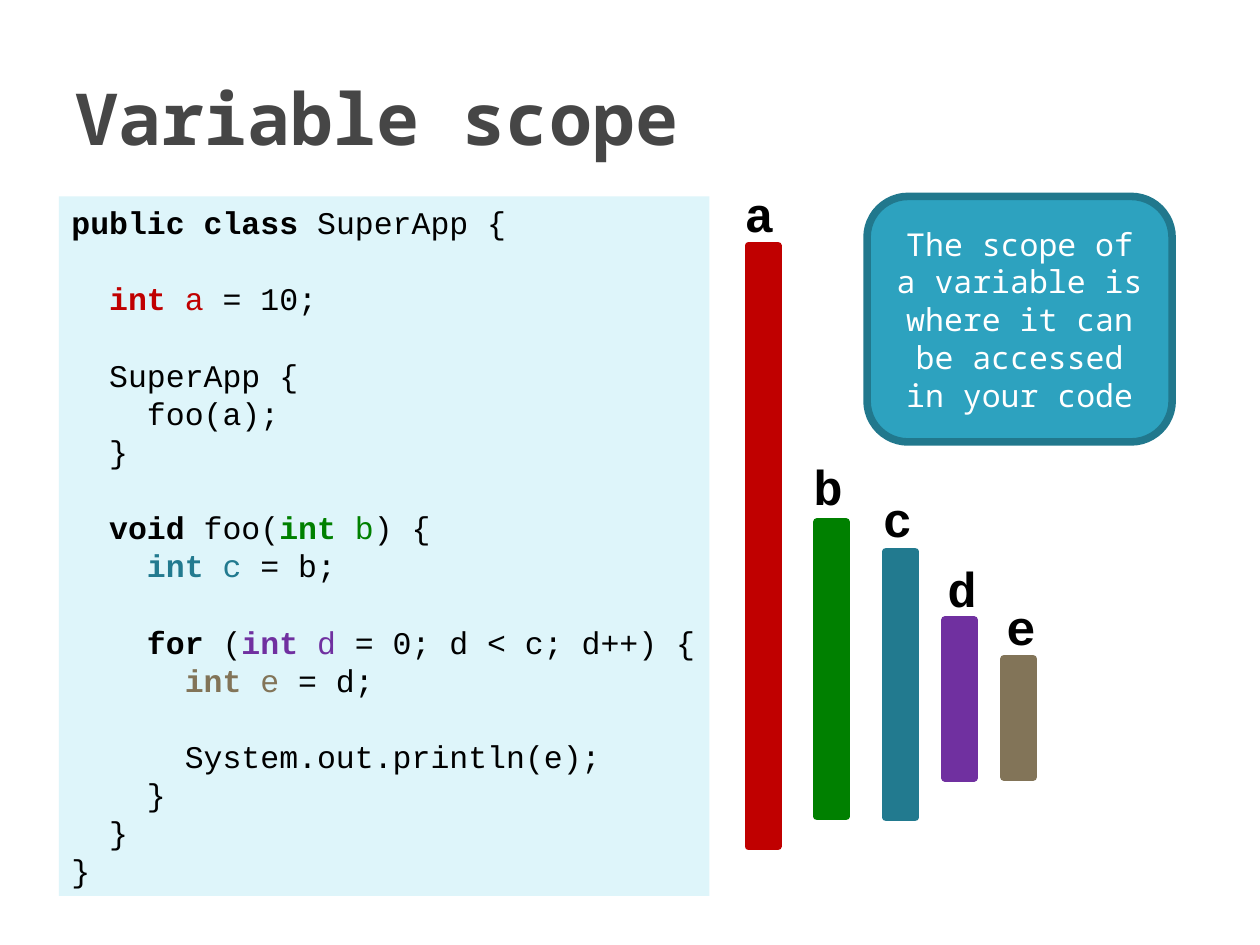
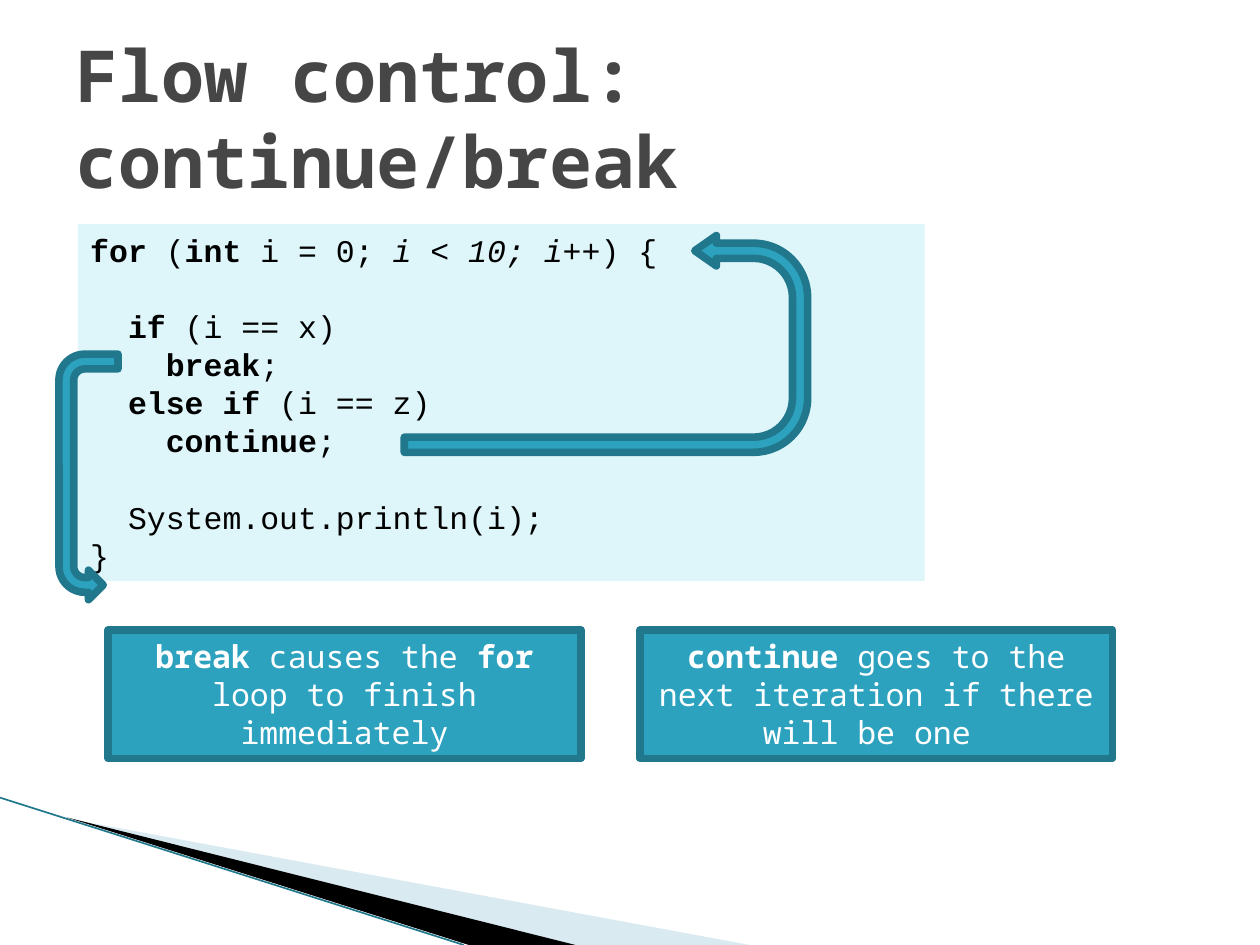
from lxml.etree import SubElement
from pptx import Presentation
from pptx.dml.color import RGBColor
from pptx.enum.shapes import MSO_CONNECTOR, MSO_SHAPE
from pptx.enum.text import MSO_ANCHOR, MSO_AUTO_SIZE, PP_ALIGN
from pptx.oxml.ns import qn
from pptx.util import Cm, Pt

# Shared style
CODE_FONT = "Courier New"
TEXT_FONT = "Noto Sans Mono"
BLACK = RGBColor(0x00, 0x00, 0x00)
WHITE = RGBColor(0xFF, 0xFF, 0xFF)
TITLE_GREY = RGBColor(0x46, 0x46, 0x46)
CODE_FILL = RGBColor(0xDE, 0xF5, 0xFA)
TEAL = RGBColor(0x2D, 0xA2, 0xBF)
DARK_TEAL = RGBColor(0x21, 0x78, 0x8D)
PALE_BLUE = RGBColor(0xA0, 0xCB, 0xDC)
RED = RGBColor(0xC0, 0x00, 0x00)
GREEN = RGBColor(0x00, 0x80, 0x00)
BLUE = RGBColor(0x22, 0x7A, 0x8F)
PURPLE = RGBColor(0x70, 0x30, 0xA0)
BROWN = RGBColor(0x82, 0x74, 0x58)
BORDER = Pt(4.33)
CODE_LINE = Pt(21.8)


def span(text, color=None, bold=False, italic=False):
    return text, color, bold, italic


def bold(text, color=None):
    return span(text, color, bold=True)


def write(para, spans, font=TEXT_FONT, size=18, color=BLACK):
    """Add spans to a paragraph; a plain string is an unformatted span."""
    for item in spans:
        text, own_color, is_bold, is_italic = span(item) if isinstance(item, str) else item
        run = para.add_run()
        run.text = text
        run.font.name = font
        run.font.size = Pt(size)
        run.font.bold = is_bold
        run.font.italic = is_italic
        run.font.color.rgb = own_color or color


def add_page(deck, title):
    page = deck.slides.add_slide(deck.slide_layouts[5])
    box = page.shapes.title
    box.left, box.top, box.width, box.height = Cm(1.27), Cm(0.76), Cm(22.86), Cm(3.18)
    frame = box.text_frame
    frame.word_wrap = True
    frame.auto_size = MSO_AUTO_SIZE.NONE
    frame.vertical_anchor = MSO_ANCHOR.MIDDLE
    para = frame.paragraphs[0]
    para.alignment = PP_ALIGN.LEFT
    write(para, [bold(title)], size=41, color=TITLE_GREY)
    return page


def add_box(page, left, top, width, height, kind=MSO_SHAPE.RECTANGLE, fill=TEAL, line=DARK_TEAL):
    box = page.shapes.add_shape(kind, Cm(left), Cm(top), Cm(width), Cm(height))
    box.shadow.inherit = False
    box.fill.solid()
    box.fill.fore_color.rgb = fill
    if line is None:
        box.line.fill.background()
    else:
        box.line.color.rgb = line
        box.line.width = BORDER
    return box


def add_code(page, left, top, width, height, lines):
    """Draw a code panel; an empty line becomes space before the next one."""
    box = add_box(page, left, top, width, height, fill=CODE_FILL, line=None)
    frame = box.text_frame
    frame.word_wrap = True
    frame.margin_right = 0
    frame.vertical_anchor = MSO_ANCHOR.TOP
    para, gap = frame.paragraphs[0], False
    for number, spans in enumerate(lines):
        if not spans:
            gap = True
            continue
        if number:
            para = frame.add_paragraph()
        para.alignment = PP_ALIGN.LEFT
        para.line_spacing = CODE_LINE
        if gap:
            para.space_before = CODE_LINE
        write(para, spans, font=CODE_FONT)
        gap = False


def add_note(page, left, top, width, height, spans, kind=MSO_SHAPE.RECTANGLE):
    box = add_box(page, left, top, width, height, kind)
    frame = box.text_frame
    frame.word_wrap = True
    frame.vertical_anchor = MSO_ANCHOR.MIDDLE
    para = frame.paragraphs[0]
    para.alignment = PP_ALIGN.CENTER
    write(para, spans, color=WHITE)


def add_label(page, left, top, text):
    box = page.shapes.add_textbox(Cm(left), Cm(top), Cm(1.12), Cm(1.45))
    box.text_frame.word_wrap = False
    write(box.text_frame.paragraphs[0], [bold(text)], font=CODE_FONT, size=28)


def add_turn_arrow(page, left, top, width, height, rotation, adjustments=()):
    """Draw a U-turn arrow lying on its side within the visible frame."""
    shift = (width - height) / 2
    arrow = add_box(page, left + shift, top - shift, height, width, MSO_SHAPE.U_TURN_ARROW)
    arrow.rotation = rotation
    arrow.element.spPr.find(qn("a:xfrm")).set("flipV", "1")
    for index, value in enumerate(adjustments):
        arrow.adjustments[index] = value


def add_wedge(page, points, color, opacity=None):
    start, *rest = [(Cm(x), Cm(y)) for x, y in points]
    builder = page.shapes.build_freeform(*start)
    builder.add_line_segments(rest, close=True)
    wedge = builder.convert_to_shape()
    wedge.shadow.inherit = False
    wedge.line.fill.background()
    wedge.fill.solid()
    wedge.fill.fore_color.rgb = color
    if opacity:
        tone = wedge.element.spPr.find(qn("a:solidFill"))[0]
        SubElement(tone, qn("a:alpha")).set("val", str(opacity * 1000))


def add_corner_sweep(page):
    add_wedge(page, [(1.4, 16.51), (15.11, 19.05), (11.58, 19.05)], PALE_BLUE, opacity=40)
    add_wedge(page, [(1.35, 16.48), (11.6, 19.05), (9.45, 19.05)], BLACK)
    edge = page.shapes.add_connector(MSO_CONNECTOR.STRAIGHT, 0, Cm(16.08), Cm(9.35), Cm(19.05))
    edge.line.color.rgb = DARK_TEAL
    edge.line.width = Pt(0.95)
    SubElement(edge.element.spPr, qn("a:effectLst"))


def build_scope_page(deck):
    page = add_page(deck, "Variable scope")
    add_code(page, 1.19, 3.96, 13.11, 14.1, [
        [bold("public class "), "SuperApp {"],
        [],
        ["  ", bold("int", RED), span(" a ", RED), "= 10;"],
        [],
        ["  SuperApp {"],
        ["    foo(a);"],
        ["  }"],
        [],
        ["  ", bold("void "), "foo(", bold("int", GREEN), span(" b", GREEN), ") {"],
        ["    ", bold("int", BLUE), span(" c", BLUE), " = b;"],
        [],
        ["    ", bold("for"), " (", bold("int", PURPLE), span(" d", PURPLE),
         " = 0; d < c; d++) {"],
        ["      ", bold("int", BROWN), span(" e", BROWN), " = d;"],
        [],
        ["      System.out.println(e);"],
        ["    }"],
        ["  }"],
        ["}"],
    ])

    # One bar per variable: name, colour, left, top, height, label left, label top
    scopes = [
        ("a", RED, 15.09, 4.95, 12.12, 14.76, 3.58),
        ("b", GREEN, 16.47, 10.52, 5.94, 16.15, 9.07),
        ("c", BLUE, 17.86, 11.12, 5.36, 17.55, 9.73),
        ("d", PURPLE, 19.05, 12.5, 3.18, 18.85, 11.13),
        ("e", BROWN, 20.24, 13.28, 2.39, 20.04, 11.91),
    ]
    for name, color, left, top, height, label_left, label_top in scopes:
        add_box(page, left, top, 0.59, height, fill=color, line=color)
        add_label(page, label_left, label_top, name)

    add_note(page, 17.48, 3.96, 6.15, 4.95,
             ["The scope of a variable is where it can be accessed in your code"],
             kind=MSO_SHAPE.ROUNDED_RECTANGLE)


def build_flow_page(deck):
    page = add_page(deck, "Flow control: continue/break")
    add_corner_sweep(page)
    add_code(page, 1.57, 4.52, 17.07, 7.19, [
        [bold("for "), "(", bold("int "), "i = 0; ", span("i < 10; i++", italic=True), ") {"],
        [],
        ["  ", bold("if"), " (i == x)"],
        ["    ", bold("break"), ";"],
        ["  ", bold("else if "), "(i == z)"],
        ["    ", bold("continue"), ";"],
        [],
        ["  System.out.println(i);"],
        ["}"],
    ])

    # Explanations
    notes = [
        (2.18, [bold("break "), "causes the ", bold("for"), " loop to finish immediately"]),
        (12.9, [bold("continue "), "goes to the next iteration if there will be one "]),
    ]
    for left, spans in notes:
        add_note(page, left, 12.7, 9.53, 2.59, spans)

    # Jumps made by break and continue
    add_turn_arrow(page, 1.19, 7.14, 1.19, 4.95, rotation=90)
    add_turn_arrow(page, 8.15, 4.75, 8.13, 4.37, rotation=270,
                   adjustments=(0.07, 0.07, 0.1, 0.25, 0.28))


def main():
    deck = Presentation()
    deck.slide_width, deck.slide_height = Cm(25.4), Cm(19.05)
    build_scope_page(deck)
    build_flow_page(deck)
    deck.save("out.pptx")


if __name__ == "__main__":
    main()
